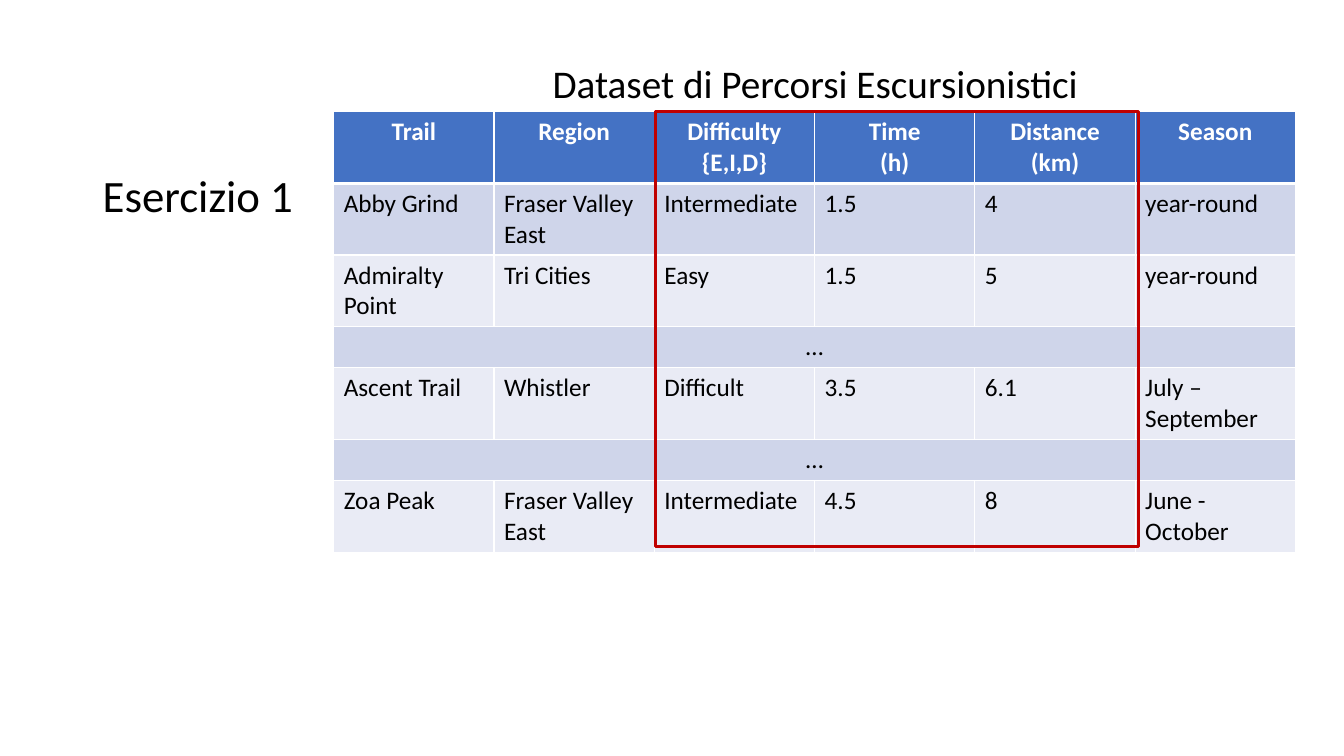
from pptx import Presentation
from pptx.dml.color import RGBColor
from pptx.enum.shapes import MSO_SHAPE as SHAPE
from pptx.enum.text import MSO_ANCHOR as ANCHOR, PP_ALIGN as ALIGN
from pptx.oxml.ns import qn
from pptx.util import Inches, Pt
from lxml.etree import SubElement

FONT = "Calibri"
BLACK, WHITE, BLUE, RED = "000000", "FFFFFF", "4472C4", "C00000"
BANDS = ["CFD5EA", "E9EBF5"]
LEFT, TOP, COL_W = 3.31, 1.11, 1.59
SHORT_ROW, TALL_ROW = 0.41, 0.71

HEADER = ["Trail", "Region", "Difficulty\n{E,I,D}", "Time\n(h)",
          "Distance (km)", "Season"]
TRAILS = [
    ["Abby Grind", "Fraser Valley East", "Intermediate", "1.5", "4", "year-round"],
    ["Admiralty Point", "Tri Cities", "Easy", "1.5", "5", "year-round"],
    ["…"],
    ["Ascent Trail", "Whistler", "Difficult", "3.5", "6.1", "July – September"],
    ["…"],
    ["Zoa Peak", "Fraser Valley East", "Intermediate", "4.5", "8", "June - October"],
]


def rgb(color):
    return RGBColor.from_string(color)


def set_text(tf, text, size, color=BLACK, bold=False, align=ALIGN.LEFT):
    tf.text = text
    for p in tf.paragraphs:
        p.alignment = align
        p.font.name, p.font.size, p.font.bold = FONT, Pt(size), bold
        p.font.color.rgb = rgb(color)


def add_heading(s, text, box, size, align=ALIGN.LEFT):
    tf = s.shapes.add_textbox(*map(Inches, box)).text_frame
    tf.word_wrap = True
    tf.vertical_anchor = ANCHOR.BOTTOM
    set_text(tf, text, size, align=align)
    tf.paragraphs[0].line_spacing = 0.9


def set_borders(cell, bottom):
    """White cell borders; must be set before the fill."""
    tc_pr = cell._tc.get_or_add_tcPr()
    for side, width in (("L", 1), ("R", 1), ("T", 1), ("B", bottom)):
        ln = SubElement(tc_pr, qn("a:ln" + side), w=str(Pt(width)))
        fill = SubElement(ln, qn("a:solidFill"))
        SubElement(fill, qn("a:srgbClr"), val=WHITE)


def style_cell(cell, fill, bottom=1):
    set_borders(cell, bottom)
    cell.fill.solid()
    cell.fill.fore_color.rgb = rgb(fill)


def add_trail_table(s):
    rows, cols = len(TRAILS) + 1, len(HEADER)
    heights = [TALL_ROW] + [TALL_ROW if len(t) > 1 else SHORT_ROW for t in TRAILS]
    table = s.shapes.add_table(rows, cols, Inches(LEFT), Inches(TOP),
                               Inches(COL_W * cols), Inches(sum(heights))).table
    for col in table.columns:
        col.width = Inches(COL_W)
    for row, height in zip(table.rows, heights):
        row.height = Inches(height)

    # Header row
    for cell, text in zip(table.rows[0].cells, HEADER):
        style_cell(cell, BLUE, bottom=3)
        set_text(cell.text_frame, text, 18, WHITE, True, ALIGN.CENTER)

    # Banded body rows; a lone ellipsis spans the whole row
    for i, trail in enumerate(TRAILS):
        cells = list(table.rows[i + 1].cells)
        for cell in cells:
            style_cell(cell, BANDS[i % 2])
        gap = len(trail) == 1
        if gap:
            cells[0].merge(cells[-1])
        for cell, text in zip(cells, trail):
            set_text(cell.text_frame, text, 18,
                     align=ALIGN.CENTER if gap else ALIGN.LEFT)


def add_frame(s, box):
    sp = s.shapes.add_shape(SHAPE.RECTANGLE, *map(Inches, box))
    sp.shadow.inherit = False
    sp.fill.background()
    sp.line.color.rgb = rgb(RED)
    sp.line.width = Pt(2.25)


def main():
    prs = Presentation()
    prs.slide_width, prs.slide_height = Inches(13.33), Inches(7.5)
    s = prs.slides.add_slide(prs.slide_layouts[6])

    # Headings
    add_heading(s, "Esercizio 1", (0.92, 0.5, 4.3, 1.75), 32)
    add_heading(s, "Dataset di Percorsi Escursionistici",
                (LEFT, 0.26, 9.55, 0.85), 28, ALIGN.CENTER)

    # Table with the numeric features framed
    add_trail_table(s)
    add_frame(s, (6.5, TOP, 4.79, 4.31))

    prs.save("out.pptx")


if __name__ == "__main__":
    main()
